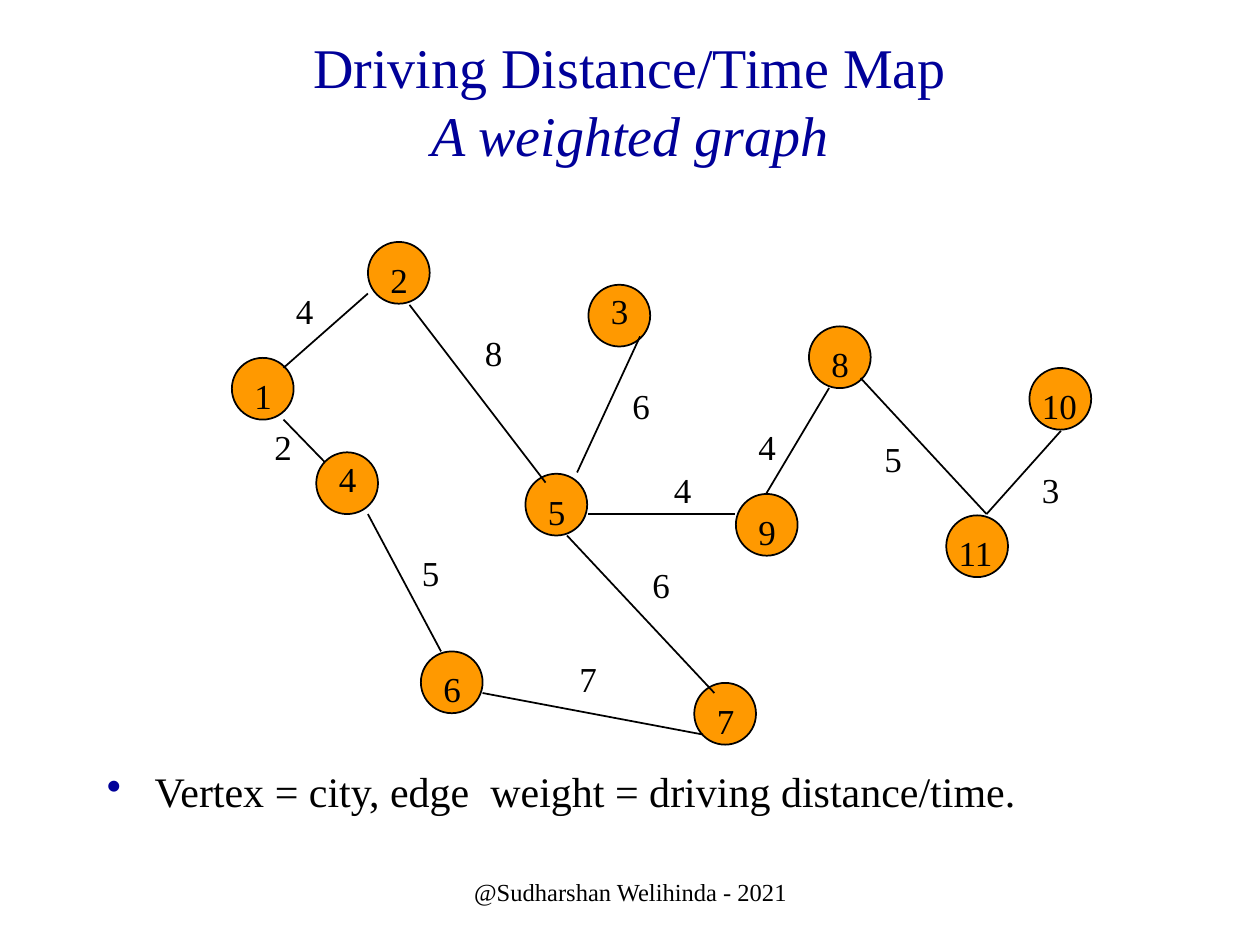
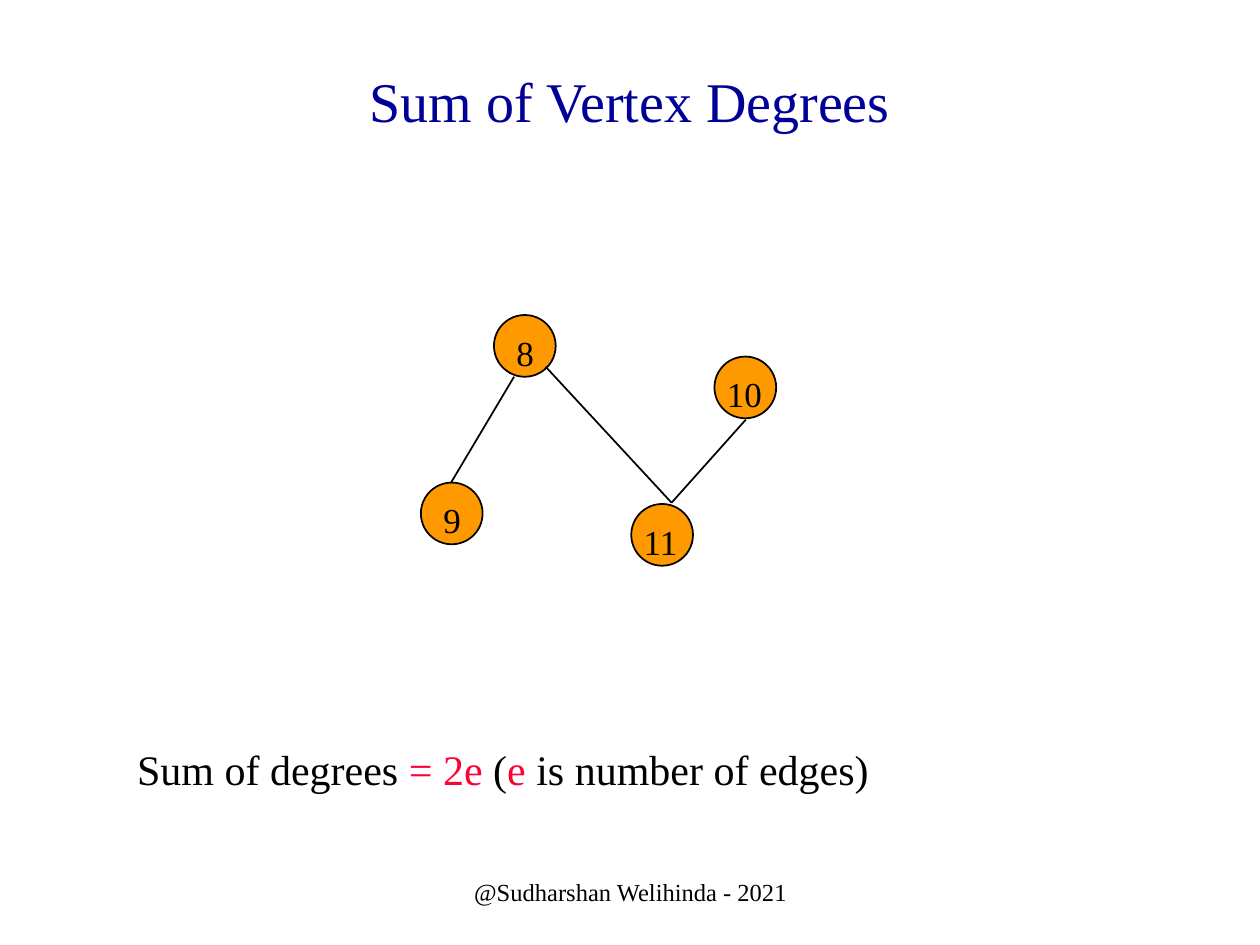
from pptx import Presentation
from pptx.dml.color import RGBColor
from pptx.enum import shapes, text
from pptx.oxml import ns, xmlchemy as xml
from pptx.util import Inches, Pt

# Shared look
FONT = "Times New Roman"
NAVY, BLACK, RED, ORANGE = "000099", "000000", "FF0033", "FF9900"
SIZE = 0.49
FOOTER = "@Sudharshan Welihinda - 2021"

# City: left, top of its circle
CITIES = {
    1: (1.84, 2.84), 2: (2.92, 1.92), 3: (4.67, 2.26), 8: (6.42, 2.59),
    10: (8.17, 2.92), 4: (2.51, 3.59), 5: (4.17, 3.76), 9: (5.84, 3.92),
    11: (7.51, 4.09), 6: (3.34, 5.17), 7: (5.51, 5.42),
}
HIGH = (3, 4)  # cities whose number sits higher in the circle

# Pair of cities: start, end, weight, left and top of the weight
ROADS = {
    (2, 1): ((2.92, 2.33), (2.25, 2.92), 4, (2.25, 2.25)),
    (2, 5): ((3.25, 2.42), (4.33, 3.83), 8, (3.75, 2.58)),
    (1, 4): ((2.25, 3.33), (2.58, 3.67), 2, (2.08, 3.33)),
    (4, 6): ((2.92, 4.08), (3.5, 5.17), 5, (3.25, 4.33)),
    (6, 7): ((3.83, 5.5), (5.58, 5.83), 7, (4.5, 5.17)),
    (3, 5): ((5.08, 2.67), (4.58, 3.75), 6, (4.92, 3)),
    (5, 7): ((4.5, 4.25), (5.67, 5.5), 6, (5.08, 4.42)),
    (8, 9): ((6.58, 3.08), (6.08, 3.92), 4, (5.92, 3.33)),
    (8, 11): ((6.83, 3), (7.83, 4.08), 5, (6.92, 3.42)),
    (11, 10): ((7.83, 4.08), (8.42, 3.42), 3, (8.17, 3.67)),
    (5, 9): ((4.67, 4.08), (5.83, 4.08), 4, (5.25, 3.67)),
}


def color(code):
    return RGBColor.from_string(code)


def add_run(para, words, size, code=BLACK, italic=False):
    run = para.add_run()
    run.text = words
    font = run.font
    font.name, font.size, font.italic = FONT, Pt(size), italic
    font.color.rgb = color(code)


def add_box(slide, left, top, width, height, wrap=True, middle=False):
    """Add a text box and return its first paragraph."""
    box = slide.shapes.add_textbox(*map(Inches, (left, top, width, height)))
    frame = box.text_frame
    frame.word_wrap = wrap
    para = frame.paragraphs[0]
    if middle:
        frame.vertical_anchor = text.MSO_ANCHOR.MIDDLE
        para.alignment = text.PP_ALIGN.CENTER
    return para


def add_title(slide, title, sub=None):
    para = add_box(slide, 0.75, 0.17, 8.5, 1.25, middle=True)
    add_run(para, title, 32, NAVY)
    if sub:
        para.add_line_break()
        add_run(para, sub, 32, NAVY, italic=True)


def add_footer(slide):
    para = add_box(slide, 3.42, 6.83, 3.17, 0.5, wrap=False, middle=True)
    add_run(para, FOOTER, 14)


def add_bullet(para):
    props = para._p.get_or_add_pPr()
    props.set("marL", str(Inches(0.38)))
    props.set("indent", str(-Inches(0.38)))
    tint = xml.OxmlElement("a:buClr")
    tint.append(xml.OxmlElement("a:srgbClr"))
    tint[0].set("val", NAVY)
    mark = xml.OxmlElement("a:buChar")
    mark.set("char", "•")
    props.extend([tint, mark])


def add_city(slide, left, top):
    dot = slide.shapes.add_shape(
        shapes.MSO_SHAPE.OVAL, *map(Inches, (left, top, SIZE, SIZE)))
    dot.shadow.inherit = False
    dot.fill.solid()
    dot.fill.fore_color.rgb = color(ORANGE)
    dot.line.color.rgb = color(BLACK)
    dot.line.width = Pt(1)


def add_road(slide, start, end):
    road = slide.shapes.add_connector(
        shapes.MSO_CONNECTOR.STRAIGHT, *map(Inches, start + end))
    road.line.color.rgb = color(BLACK)
    road.line.width = Pt(1)
    road._element.find(ns.qn("p:spPr")).append(xml.OxmlElement("a:effectLst"))


def add_label(slide, value, left, top, width):
    add_run(add_box(slide, left, top, width, 0.43), str(value), 20)


def add_graph(slide, cities, shift=(0, 0), weights=True):
    """Draw the chosen cities and every road between them."""
    def move(point):
        return tuple(a + b for a, b in zip(point, shift))

    roads = [road for pair, road in ROADS.items() if set(pair) <= set(cities)]
    for city in cities:
        add_city(slide, *move(CITIES[city]))
    for start, end, _, _ in roads:
        add_road(slide, move(start), move(end))
    for city in cities:
        left, top = move(CITIES[city])
        inset, width = (0, 0.5) if city > 9 else (0.08, 0.25)
        drop = -0.01 if city in HIGH else 0.08
        add_label(slide, city, left + inset, top + drop, width)
    if weights:
        for _, _, weight, spot in roads:
            add_label(slide, weight, *move(spot), 0.33)


def add_map(deck):
    slide = deck.slides.add_slide(deck.slide_layouts[6])
    add_title(slide, "Driving Distance/Time Map", "A weighted graph")
    para = add_box(slide, 0.75, 6.03, 8.5, 0.56)
    add_bullet(para)
    add_run(para, "Vertex = city, edge  weight = driving distance/time.", 24)
    add_graph(slide, list(CITIES))
    add_footer(slide)


def add_sum(deck):
    slide = deck.slides.add_slide(deck.slide_layouts[6])
    add_title(slide, "Sum of Vertex Degrees")
    para = add_box(slide, 0.99, 5.85, 8.5, 0.67)
    for words, code in (("Sum of degrees ", BLACK), ("= 2e", RED),
                        (" (", BLACK), ("e ", RED),
                        ("is number of edges)", BLACK)):
        add_run(para, words, 24, code)
    add_graph(slide, [8, 10, 9, 11], shift=(-2.5, -0.09), weights=False)
    add_footer(slide)


def main():
    deck = Presentation()
    deck.slide_width, deck.slide_height = Inches(10), Inches(7.5)
    add_map(deck)
    add_sum(deck)
    deck.save("out.pptx")


if __name__ == "__main__":
    main()
